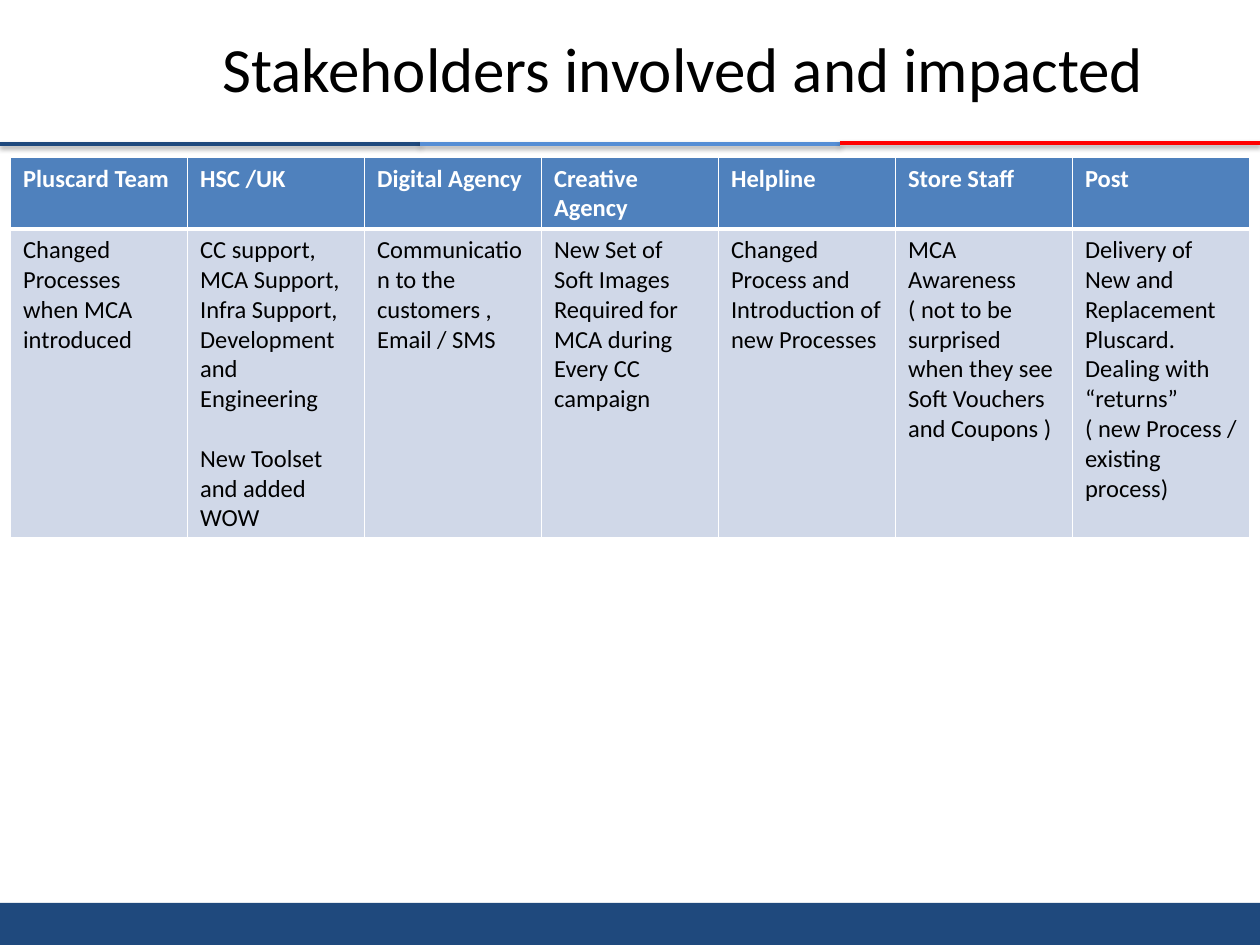
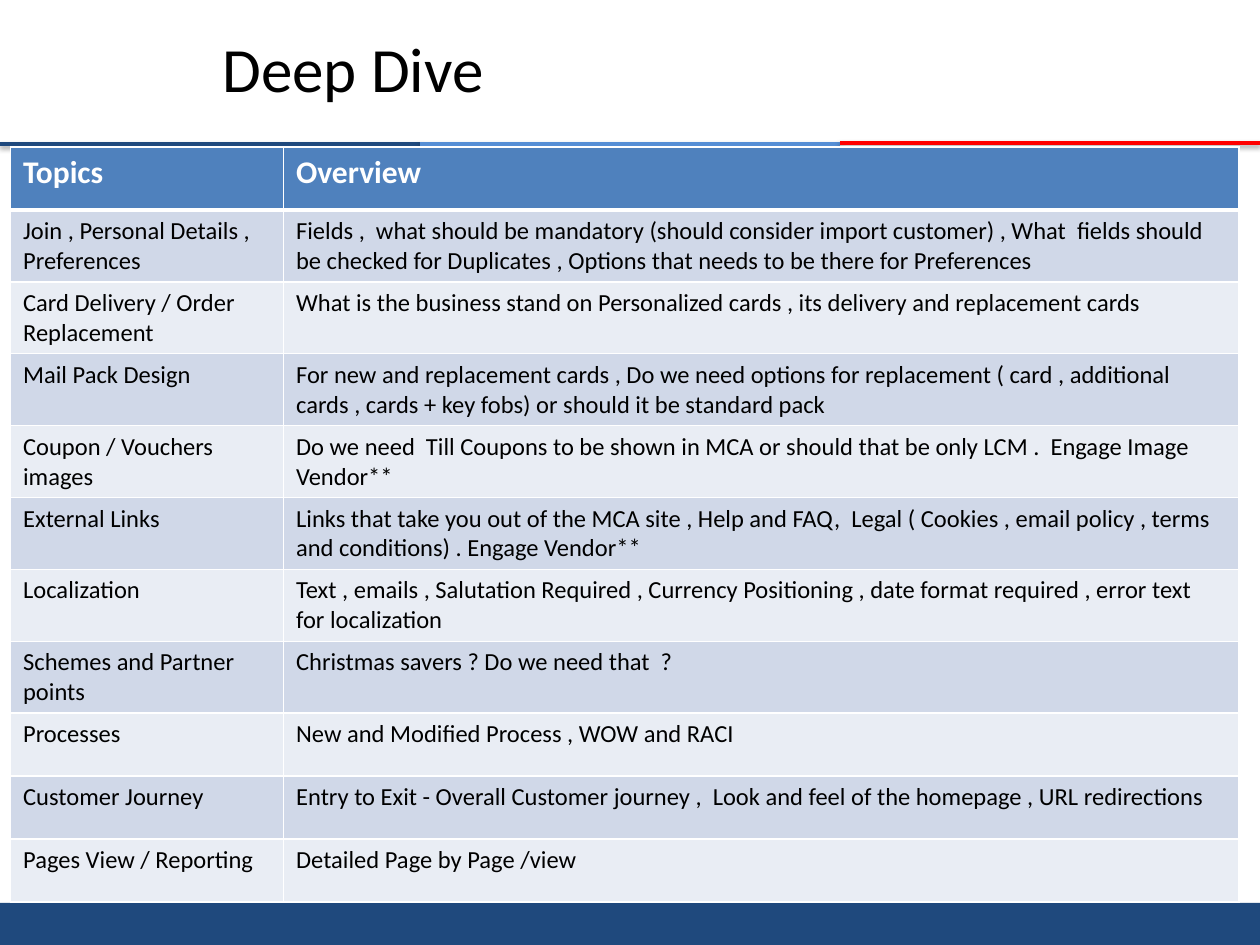
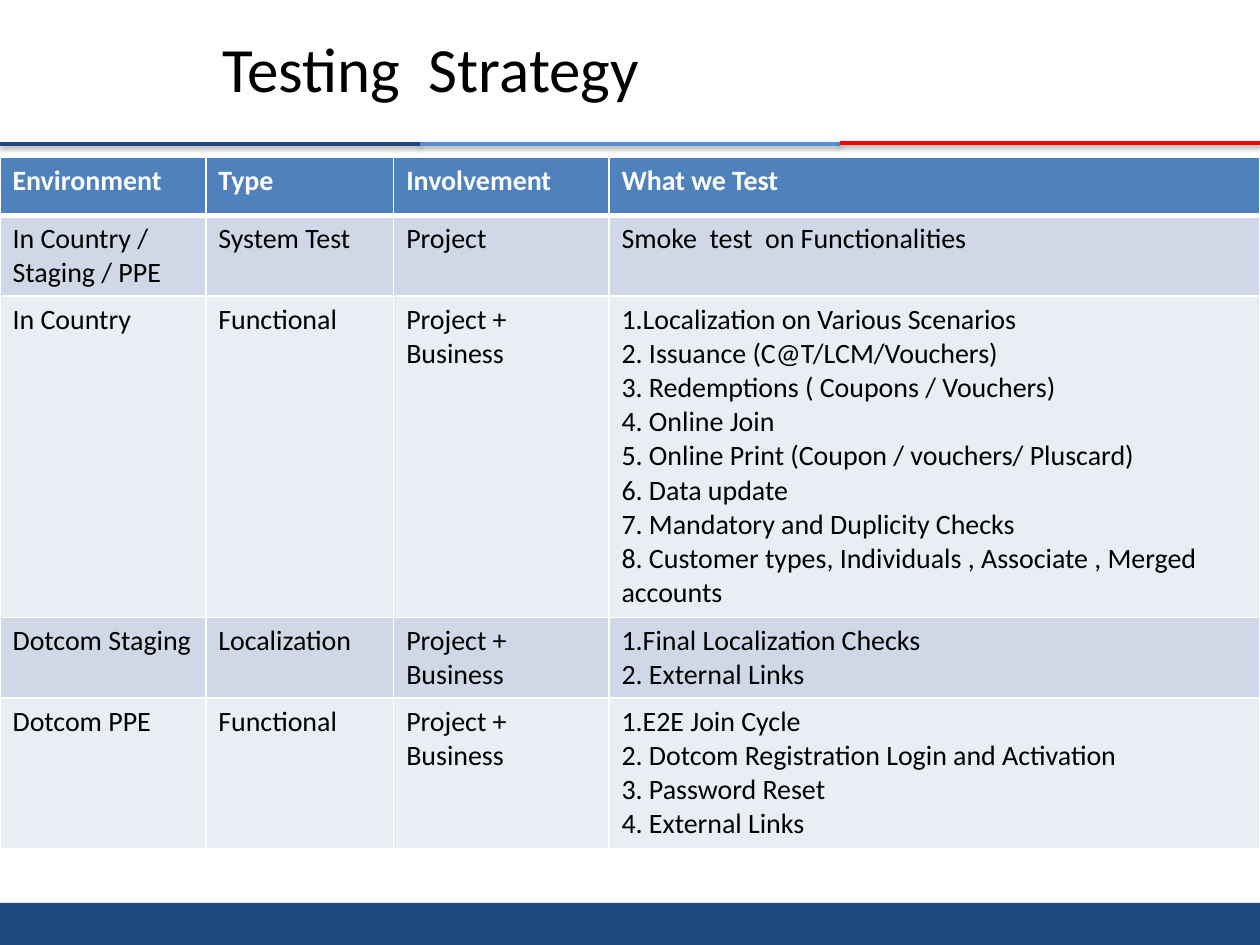
from lxml import etree
from pptx import Presentation
from pptx import util as u
from pptx.dml.color import RGBColor
from pptx.enum import shapes, text
from pptx.oxml import ns, parse_xml

WIDTH, HEIGHT = u.Inches(10), u.Inches(7.5)
COLS, ROWS = 120, 90
FONT = "Calibri"
COLORS = {
    "navy": "1F497D", "sky": "558ED5", "red": "FF0000",
    "header": "4F81BD", "band_odd": "D0D8E8", "band_even": "E9EDF4",
    "white": "FFFFFF", "black": "000000",
}
TITLE_BOX = (20, 0.4, 95, 12)
FOOTER_BOX = (0, 86, COLS, 4)
RULES = [("navy", 13.7), ("sky", 13.7), ("red", 13.6)]
BODY = {"size": u.Pt(14), "bold": False, "color": "black"}
HEAD = {"size": u.Pt(14), "bold": True, "color": "white"}

STAKEHOLDERS = [
    ["Pluscard Team", "HSC /UK", "Digital Agency", "Creative Agency",
     "Helpline", "Store Staff", "Post"],
    ["Changed Processes when MCA introduced",
     "CC support,\nMCA Support,\nInfra Support,\nDevelopment and Engineering\n"
     "New Toolset and added WOW",
     "Communication to the customers , Email / SMS",
     "New Set of Soft Images Required for MCA during Every CC campaign",
     "Changed Process and Introduction of new Processes",
     "MCA Awareness ( not to be surprised when they see Soft Vouchers and Coupons )",
     "Delivery of New and Replacement Pluscard. Dealing with “returns” "
     "( new Process / existing process)"],
]
TOPICS = [
    ["Topics", "Overview"],
    ["Join , Personal Details , Preferences",
     "Fields ,  what should be mandatory (should consider import customer) , "
     "What  fields should be checked for Duplicates , "
     "Options that needs to be there for Preferences"],
    ["Card Delivery / Order Replacement",
     "What is the business stand on Personalized cards , "
     "its delivery and replacement cards"],
    ["Mail Pack Design",
     "For new and replacement cards , Do we need options for replacement "
     "( card , additional cards , cards + key fobs) or should it be standard pack"],
    ["Coupon / Vouchers images",
     "Do we need  Till Coupons to be shown in MCA or should that be only LCM .  "
     "Engage Image Vendor**"],
    ["External Links",
     "Links that take you out of the MCA site , Help and FAQ,  Legal "
     "( Cookies , email policy , terms and conditions) . Engage Vendor**"],
    ["Localization",
     "Text , emails , Salutation Required , Currency Positioning , "
     "date format required , error text for localization"],
    ["Schemes and Partner points", "Christmas savers ? Do we need that  ?"],
    ["Processes", "New and Modified Process , WOW and RACI"],
    ["Customer Journey",
     "Entry to Exit - Overall Customer journey ,  "
     "Look and feel of the homepage , URL redirections"],
    ["Pages View / Reporting", "Detailed Page by Page /view"],
]
TESTS = [
    ["Environment", "Type", "Involvement", "What we Test"],
    ["In Country / Staging / PPE", "System Test", "Project",
     "Smoke  test  on Functionalities"],
    ["In Country", "Functional", "Project + Business",
     "1.Localization on Various Scenarios\n2. Issuance (C@T/LCM/Vouchers)\n"
     "3. Redemptions ( Coupons / Vouchers)\n4. Online Join\n"
     "5. Online Print (Coupon / vouchers/ Pluscard)\n6. Data update\n"
     "7. Mandatory and Duplicity Checks\n"
     "8. Customer types, Individuals , Associate , Merged  accounts"],
    ["Dotcom Staging", "Localization", "Project + Business",
     "1.Final Localization Checks\n2. External Links"],
    ["Dotcom PPE", "Functional", "Project + Business",
     "1.E2E Join Cycle\n2. Dotcom Registration Login and Activation\n"
     "3. Password Reset\n4. External Links"],
]


def gx(cols):
    """Return the length of a number of grid columns."""
    return int(WIDTH * cols / COLS)


def gy(rows):
    """Return the length of a number of grid rows."""
    return int(HEIGHT * rows / ROWS)


def place(box):
    """Turn a grid box into left, top, width and height."""
    x, y, w, h = box
    return gx(x), gy(y), gx(w), gy(h)


def rgb(name):
    """Return a palette colour."""
    return RGBColor.from_string(COLORS[name])


def write(tf, words, style):
    """Write one paragraph per line of words in the given style."""
    tf.text = words
    for p in tf.paragraphs:
        for r in p.runs:
            r.font.name = FONT
            r.font.color.rgb = rgb(style["color"])
            for key in ("size", "bold"):
                setattr(r.font, key, style[key])


def add_rules(slide):
    """Draw the three shadowed rules under the title."""
    third = COLS / len(RULES)
    for i, (color, y) in enumerate(RULES):
        sp = slide.shapes.add_connector(
            shapes.MSO_CONNECTOR.STRAIGHT,
            gx(i * third), gy(y), gx((i + 1) * third), gy(y))
        sp.line.color.rgb = rgb(color)
        sp.line.width = u.Pt(2)
        sp._element.spPr.append(parse_xml(
            f'<a:effectLst {ns.nsdecls("a")}><a:outerShdw blurRad="{u.Pt(3.1)}" '
            f'dist="{u.Pt(1.6)}" dir="5400000" rotWithShape="0">'
            f'<a:srgbClr val="{COLORS["black"]}"><a:alpha val="38000"/></a:srgbClr>'
            '</a:outerShdw></a:effectLst>'))


def add_footer(slide, box):
    """Draw the plain footer band."""
    sp = slide.shapes.add_shape(shapes.MSO_SHAPE.RECTANGLE, *place(box))
    sp.shadow.inherit = False
    sp.fill.solid()
    sp.fill.fore_color.rgb = rgb("navy")
    sp.line.fill.background()


def add_title(slide, box, words):
    """Write the slide title, centred vertically in its box."""
    tf = slide.shapes.add_textbox(*place(box)).text_frame
    tf.word_wrap = True
    tf.vertical_anchor = text.MSO_ANCHOR.MIDDLE
    write(tf, words, {"size": u.Pt(36), "bold": False, "color": "black"})


def add_borders(cell, bottom):
    """Give a cell white borders, with its own width at the bottom."""
    tcPr = cell._tc.get_or_add_tcPr()
    for i, (side, width) in enumerate(zip("LRTB", (1, 1, 1, bottom))):
        ln = etree.Element(ns.qn(f"a:ln{side}"), w=str(u.Pt(width)))
        fill = etree.SubElement(ln, ns.qn("a:solidFill"))
        etree.SubElement(fill, ns.qn("a:srgbClr"), val=COLORS["white"])
        tcPr.insert(i, ln)


def add_grid(slide, origin, widths, heights, rows, head_size, body_size):
    """Add a banded table at a grid origin and return it."""
    box = (*origin, sum(widths), sum(heights))
    table = slide.shapes.add_table(len(rows), len(widths), *place(box)).table
    for col, width in zip(table.columns, widths):
        col.width = gx(width)
    for i, (row, height, cells) in enumerate(zip(table.rows, heights, rows)):
        row.height = gy(height)
        fill = "band_odd" if i % 2 else "band_even"
        style = {**BODY, "size": u.Pt(body_size)}
        if i == 0:
            fill, style = "header", {**HEAD, "size": u.Pt(head_size)}
        for cell, words in zip(row.cells, cells):
            write(cell.text_frame, words, style)
            cell.fill.solid()
            cell.fill.fore_color.rgb = rgb(fill)
            add_borders(cell, 1 if i else 3)
    return table


def new_slide(prs, title):
    """Add a blank slide with the shared rules, footer and title."""
    slide = prs.slides.add_slide(prs.slide_layouts[6])
    add_rules(slide)
    add_footer(slide, FOOTER_BOX)
    add_title(slide, TITLE_BOX, title)
    return slide


def stakeholders_slide(prs):
    """Build the stakeholder table."""
    slide = new_slide(prs, "Stakeholders involved and impacted")
    count = len(STAKEHOLDERS[0])
    table = add_grid(slide, (1, 15), [118 / count] * count, [6.8, 29.4],
                     STAKEHOLDERS, 14, 14)
    table.cell(1, 1).text_frame.paragraphs[-1].space_before = u.Pt(17)


def deep_dive_slide(prs):
    """Build the table of topics."""
    slide = new_slide(prs, "Deep Dive")
    add_grid(slide, (1, 14), [26, 91], [6] + [6.85] * 7 + [6] * 3, TOPICS, 18, 14)


def testing_slide(prs):
    """Build the table of tests, with hanging steps in the last cell."""
    slide = new_slide(prs, "Testing  Strategy")
    table = add_grid(slide, (0, 15), [19.6, 17.9, 20.5, 62],
                     [5.5, 7.7, 30.6, 7.7, 14.3], TESTS, 16, 16)
    hang = u.Inches(0.38)
    for p in table.cell(4, 3).text_frame.paragraphs:
        pPr = p._p.get_or_add_pPr()
        for key, value in {"marL": hang, "indent": -hang}.items():
            pPr.set(key, str(int(value)))


def main():
    """Build and save the presentation."""
    prs = Presentation()
    prs.slide_width, prs.slide_height = WIDTH, HEIGHT
    for build in (stakeholders_slide, deep_dive_slide, testing_slide):
        build(prs)
    prs.save("out.pptx")


if __name__ == "__main__":
    main()
